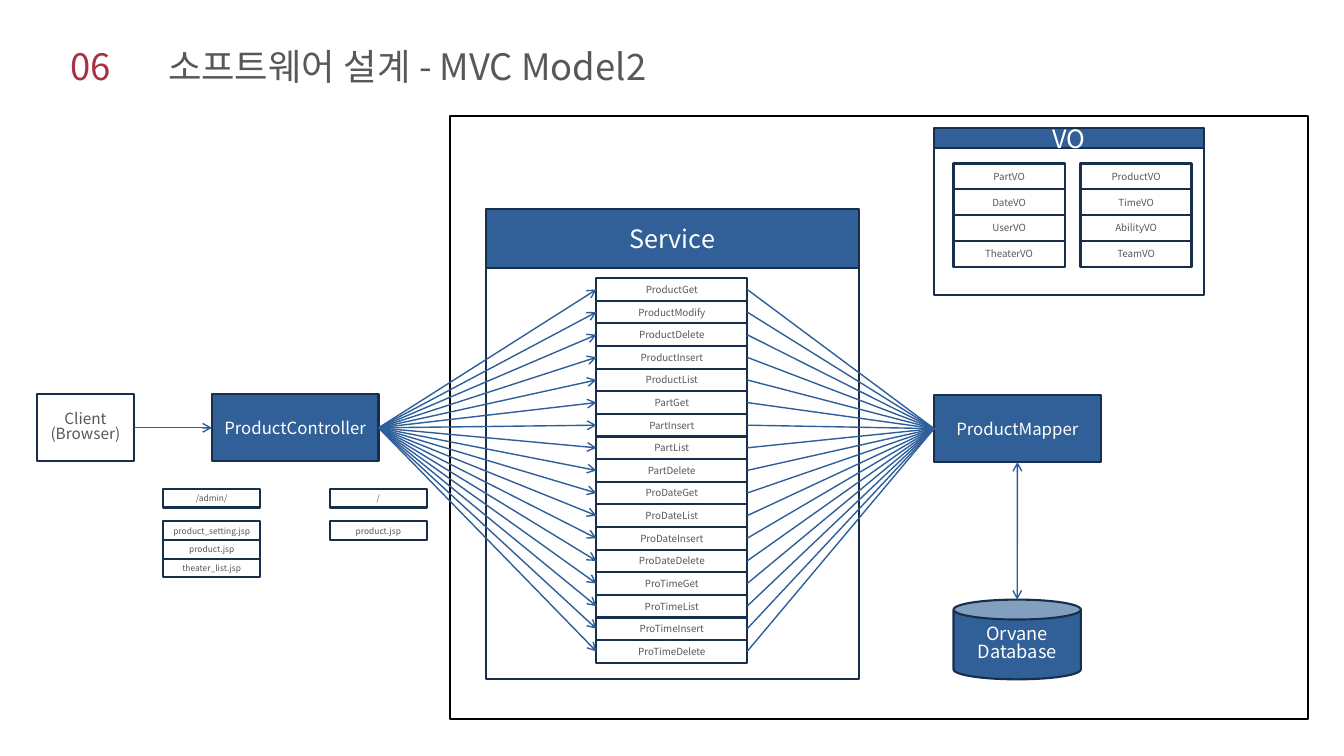
from dataclasses import dataclass

from lxml.etree import SubElement
from pptx import Presentation
from pptx.dml.color import RGBColor
from pptx.enum.shapes import MSO_CONNECTOR, MSO_SHAPE
from pptx.enum.text import MSO_ANCHOR, MSO_AUTO_SIZE, PP_ALIGN
from pptx.oxml.ns import qn
from pptx.util import Cm, Pt


@dataclass(frozen=True)
class Theme:
    font: str = "Noto Sans CJK KR"
    white: RGBColor = RGBColor(0xFF, 0xFF, 0xFF)
    black: RGBColor = RGBColor(0, 0, 0)
    accent: RGBColor = RGBColor(0xA6, 0x31, 0x45)
    ink: RGBColor = RGBColor(0x59, 0x57, 0x57)
    blue: RGBColor = RGBColor(0x31, 0x5F, 0x97)
    navy: RGBColor = RGBColor(0x18, 0x2F, 0x4B)
    arrow: RGBColor = RGBColor(0x2E, 0x5F, 0x9A)
    title: int = 26
    header: int = 18
    database: int = 13
    component: int = 12
    client: int = 11
    item: int = 7
    page: int = 6
    outline: float = 1.5
    link: float = 1


THEME = Theme()
TOP, LEFT, BOTTOM, RIGHT = range(4)  # connection sites of a rectangle

SERVICES = [
    "ProductGet", "ProductModify", "ProductDelete", "ProductInsert", "ProductList",
    "PartGet", "PartInsert", "PartList", "PartDelete",
    "ProDateGet", "ProDateList", "ProDateInsert", "ProDateDelete",
    "ProTimeGet", "ProTimeList", "ProTimeInsert", "ProTimeDelete",
]
VALUE_OBJECTS = [
    ["PartVO", "DateVO", "UserVO", "TheaterVO"],
    ["ProductVO", "TimeVO", "AbilityVO", "TeamVO"],
]
ROUTES = {
    "/admin/": ["product_setting.jsp", "product.jsp", "theater_list.jsp"],
    "/": ["product.jsp"],
}


def block(slide, box, lines=(), size=THEME.item, fill=THEME.white, color=THEME.ink,
          line=THEME.navy, kind=MSO_SHAPE.RECTANGLE):
    """Outlined shape with centred lines of text; box is in centimetres."""
    shape = slide.shapes.add_shape(kind, *map(Cm, box))
    shape.shadow.inherit = False
    if fill is None:
        shape.fill.background()
    else:
        shape.fill.solid()
        shape.fill.fore_color.rgb = fill
    shape.line.color.rgb = line
    shape.line.width = Pt(THEME.outline)
    frame = shape.text_frame
    frame.word_wrap = True
    frame.vertical_anchor = MSO_ANCHOR.MIDDLE
    frame.margin_left = frame.margin_right = frame.margin_top = frame.margin_bottom = 0
    for index, text in enumerate(lines):
        paragraph = frame.paragraphs[0] if index == 0 else frame.add_paragraph()
        paragraph.text = text
        paragraph.alignment = PP_ALIGN.CENTER
        if len(lines) > 1:
            paragraph.line_spacing = 0.81
        paragraph.font.name = THEME.font
        paragraph.font.size = Pt(size)
        paragraph.font.color.rgb = color
    return shape


def component(slide, box, lines, size=THEME.component, kind=MSO_SHAPE.RECTANGLE):
    return block(slide, box, lines, size, THEME.blue, THEME.white, kind=kind)


def stack(slide, box, names, size=THEME.item):
    """Column of touching cells; box is the first cell."""
    left, top, width, height = box
    return [block(slide, (left, top + row * height, width, height), [name], size)
            for row, name in enumerate(names)]


def link(slide, start, start_site, end, end_site, ends=("tailEnd",)):
    connector = slide.shapes.add_connector(MSO_CONNECTOR.STRAIGHT, 0, 0, 0, 0)
    connector.begin_connect(start, start_site)
    if end.auto_shape_type == MSO_SHAPE.CAN:
        connector.end_x, connector.end_y = end.left + end.width // 2, end.top
    else:
        connector.end_connect(end, end_site)
    connector.line.color.rgb = THEME.arrow
    connector.line.width = Pt(THEME.link)
    outline = connector.line._get_or_add_ln()
    for end_name in ends:
        SubElement(outline, qn(f"a:{end_name}"), type="arrow")
    SubElement(connector._element.spPr, qn("a:effectLst"))


def heading(slide, box):
    title = slide.shapes.title
    title.left, title.top, title.width, title.height = map(Cm, box)
    frame = title.text_frame
    frame.word_wrap = True
    frame.auto_size = MSO_AUTO_SIZE.NONE
    frame.vertical_anchor = MSO_ANCHOR.MIDDLE
    paragraph = frame.paragraphs[0]
    paragraph.alignment = PP_ALIGN.LEFT
    tabs = SubElement(paragraph._p.get_or_add_pPr(), qn("a:tabLst"))
    SubElement(tabs, qn("a:tab"), pos=str(Cm(2.46)), algn="l")
    paragraph.font.name = THEME.font
    paragraph.font.size = Pt(THEME.title)
    for text, color in [("06\t", THEME.accent), ("소프트웨어 설계 - MVC Model2", THEME.ink)]:
        run = paragraph.add_run()
        run.text = text
        run.font.color.rgb = color
        SubElement(run._r.get_or_add_rPr(), qn("a:ea"), typeface=THEME.font)


def panel(slide, box, name, header_height):
    left, top, width, height = box
    drop = 0.22  # the frame starts behind the header
    block(slide, (left, top + drop, width, height - drop), fill=None)
    component(slide, (left, top, width, header_height), [name], THEME.header)


def service_panel(slide, box):
    panel(slide, box, "Service", 1.5)
    left, top = box[:2]
    return stack(slide, (left + 2.79, top + 1.75, 3.8, 0.57), SERVICES)


def vo_panel(slide, box):
    panel(slide, box, "VO", 0.52)
    left, top = box[:2]
    for column, names in enumerate(VALUE_OBJECTS):
        stack(slide, (left + 0.49 + column * 3.2, top + 0.9, 2.8, 0.65), names)


def routes(slide, box):
    """Each URL above the pages it serves."""
    left, top, width, height = box
    gap = 4.2 - width
    for column, (url, pages) in enumerate(ROUTES.items()):
        x = left + column * (width + gap)
        stack(slide, (x, top, width, height), [url], THEME.page)
        stack(slide, (x, top + 0.82, width, height), pages, THEME.page)


def main():
    deck = Presentation()
    deck.slide_width, deck.slide_height = Cm(33.87), Cm(19.05)
    slide = deck.slides.add_slide(deck.slide_layouts[5])

    # Title and server frame
    heading(slide, (1.52, 0.97, 17.6, 1.37))
    block(slide, (11.34, 2.92, 21.62, 15.21), fill=None, line=THEME.black)

    # Components
    client = block(slide, (0.93, 9.94, 2.45, 1.68), ["Client", "(Browser)"], THEME.client)
    controller = component(slide, (5.34, 9.94, 4.2, 1.68), ["ProductController"])
    mapper = component(slide, (23.54, 9.96, 4.2, 1.68), ["ProductMapper"])
    database = component(slide, (24.03, 15.11, 3.21, 2.01), ["Orvane", "Database"],
                         THEME.database, MSO_SHAPE.CAN)

    # Panels and page routes
    services = service_panel(slide, (12.24, 5.26, 9.4, 11.86))
    vo_panel(slide, (23.54, 3.22, 6.81, 4.22))
    routes(slide, (4.11, 12.32, 2.45, 0.47))

    # Links
    link(slide, client, RIGHT, controller, LEFT)
    for service in services:
        link(slide, controller, RIGHT, service, LEFT)
        link(slide, service, RIGHT, mapper, LEFT, ends=())
    link(slide, mapper, BOTTOM, database, TOP, ends=("headEnd", "tailEnd"))

    deck.save("out.pptx")


if __name__ == "__main__":
    main()
